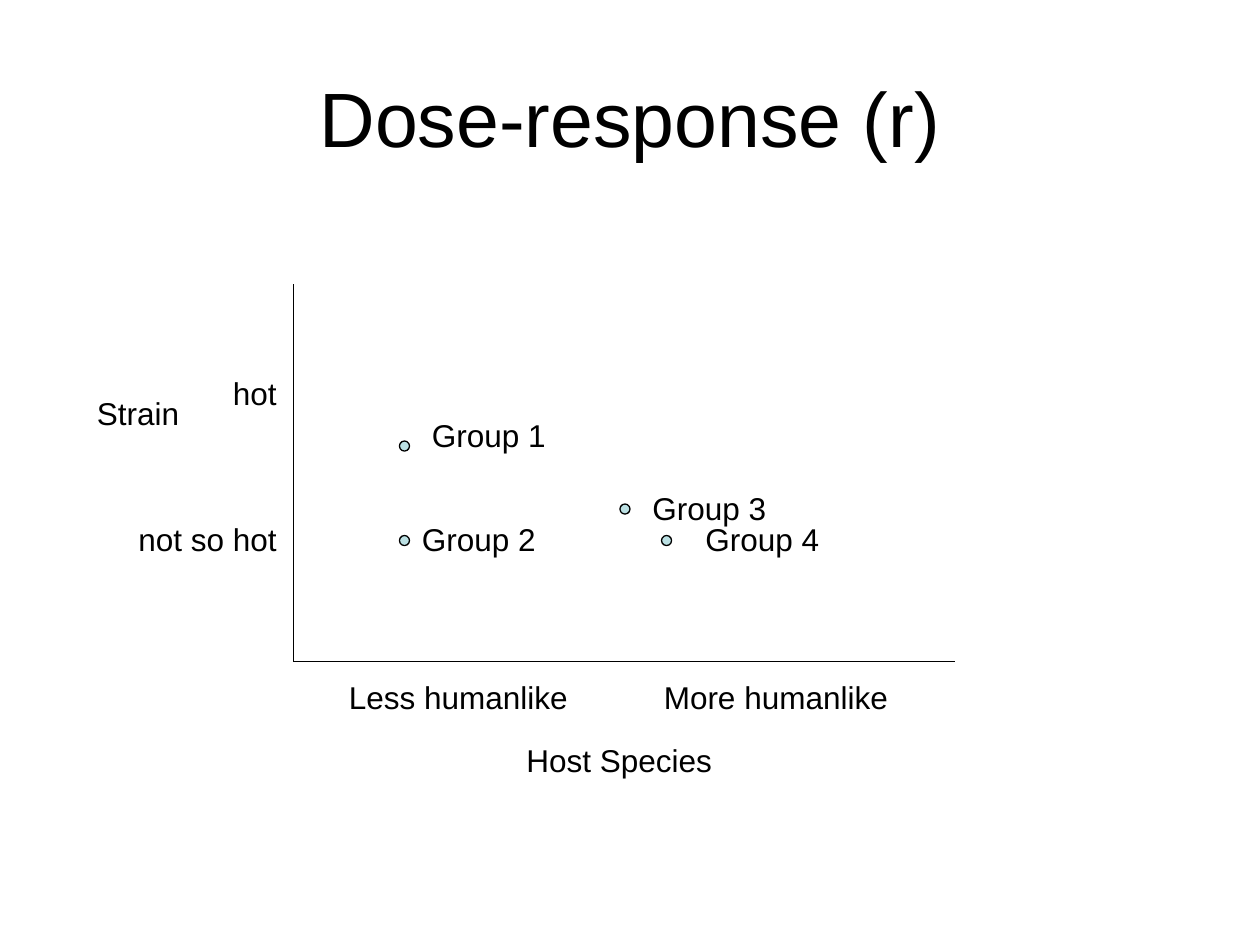
"""Build a slide that places four dose-response groups by host species and strain."""
from typing import NamedTuple

from lxml.etree import SubElement
from pptx import Presentation
from pptx.dml.color import RGBColor
from pptx.enum.shapes import MSO_CONNECTOR, MSO_SHAPE
from pptx.enum.text import MSO_ANCHOR, MSO_AUTO_SIZE, PP_ALIGN
from pptx.oxml.ns import qn
from pptx.shapes.autoshape import Shape
from pptx.slide import Slide
from pptx.util import Inches, Pt

FONT = "Arial"
INK = "000000"
MARKER_FILL = "BBE0E3"
MARKER_SIZE = 0.08
LINE_WIDTH = 0.75
LABEL_HEIGHT = 0.4
ORIGIN = (2.33, 5.25)
AXIS_ENDS = [(7.58, 5.25), (2.33, 2.25)]


class Label(NamedTuple):
    text: str
    left: float
    top: float
    width: float


class Group(NamedTuple):
    marker_left: float
    marker_top: float
    label: Label


AXIS_LABELS = [
    Label("Host Species", 4.08, 5.83, 2.83),
    Label("Strain", 0.67, 3.08, 1.25),
    Label("Less humanlike\t\tMore humanlike", 2.67, 5.33, 6.08),
    Label("hot", 1.75, 2.92, 0.75),
    Label("not so hot", 1, 4.08, 1.33),
]
GROUPS = [
    Group(3.17, 3.5, Label("Group 1", 3.33, 3.25, 1.25)),
    Group(3.17, 4.25, Label("Group 2", 3.25, 4.08, 1.33)),
    Group(4.92, 4, Label("Group 3", 5.08, 3.83, 3)),
    Group(5.25, 4.25, Label("Group 4", 5.5, 4.08, 1.33)),
]


def color(value: str) -> RGBColor:
    return RGBColor.from_string(value)


def add_text(slide: Slide, label: Label, height: float, size: float) -> Shape:
    box = slide.shapes.add_textbox(
        Inches(label.left), Inches(label.top), Inches(label.width), Inches(height)
    )
    box.text_frame.word_wrap = True
    paragraph = box.text_frame.paragraphs[0]
    paragraph.text = label.text
    font = paragraph.runs[0].font
    font.name = FONT
    font.size = Pt(size)
    font.color.rgb = color(INK)
    return box


def add_title(slide: Slide, text: str) -> None:
    frame = add_text(slide, Label(text, 0.5, 0.3, 9), 1.25, 44).text_frame
    frame.vertical_anchor = MSO_ANCHOR.MIDDLE
    frame.paragraphs[0].alignment = PP_ALIGN.CENTER


def add_label(slide: Slide, label: Label) -> None:
    frame = add_text(slide, label, LABEL_HEIGHT, 18).text_frame
    frame.auto_size = MSO_AUTO_SIZE.SHAPE_TO_FIT_TEXT
    frame.paragraphs[0].space_before = Pt(11.2)


def add_axis(slide: Slide, end: tuple[float, float]) -> None:
    axis = slide.shapes.add_connector(
        MSO_CONNECTOR.STRAIGHT, *(Inches(value) for value in ORIGIN + end)
    )
    axis.line.color.rgb = color(INK)
    axis.line.width = Pt(LINE_WIDTH)
    SubElement(axis.element.spPr, qn("a:effectLst"))


def add_marker(slide: Slide, group: Group) -> None:
    marker = slide.shapes.add_shape(
        MSO_SHAPE.OVAL,
        Inches(group.marker_left),
        Inches(group.marker_top),
        Inches(MARKER_SIZE),
        Inches(MARKER_SIZE),
    )
    marker.shadow.inherit = False
    marker.fill.solid()
    marker.fill.fore_color.rgb = color(MARKER_FILL)
    marker.line.color.rgb = color(INK)
    marker.line.width = Pt(LINE_WIDTH)


def main() -> None:
    presentation = Presentation()
    presentation.slide_width = Inches(10)
    presentation.slide_height = Inches(7.5)
    slide = presentation.slides.add_slide(presentation.slide_layouts[6])
    add_title(slide, "Dose-response (r)")
    for end in AXIS_ENDS:
        add_axis(slide, end)
    for label in AXIS_LABELS:
        add_label(slide, label)
    for group in GROUPS:
        add_marker(slide, group)
        add_label(slide, group.label)
    presentation.save("out.pptx")


if __name__ == "__main__":
    main()
